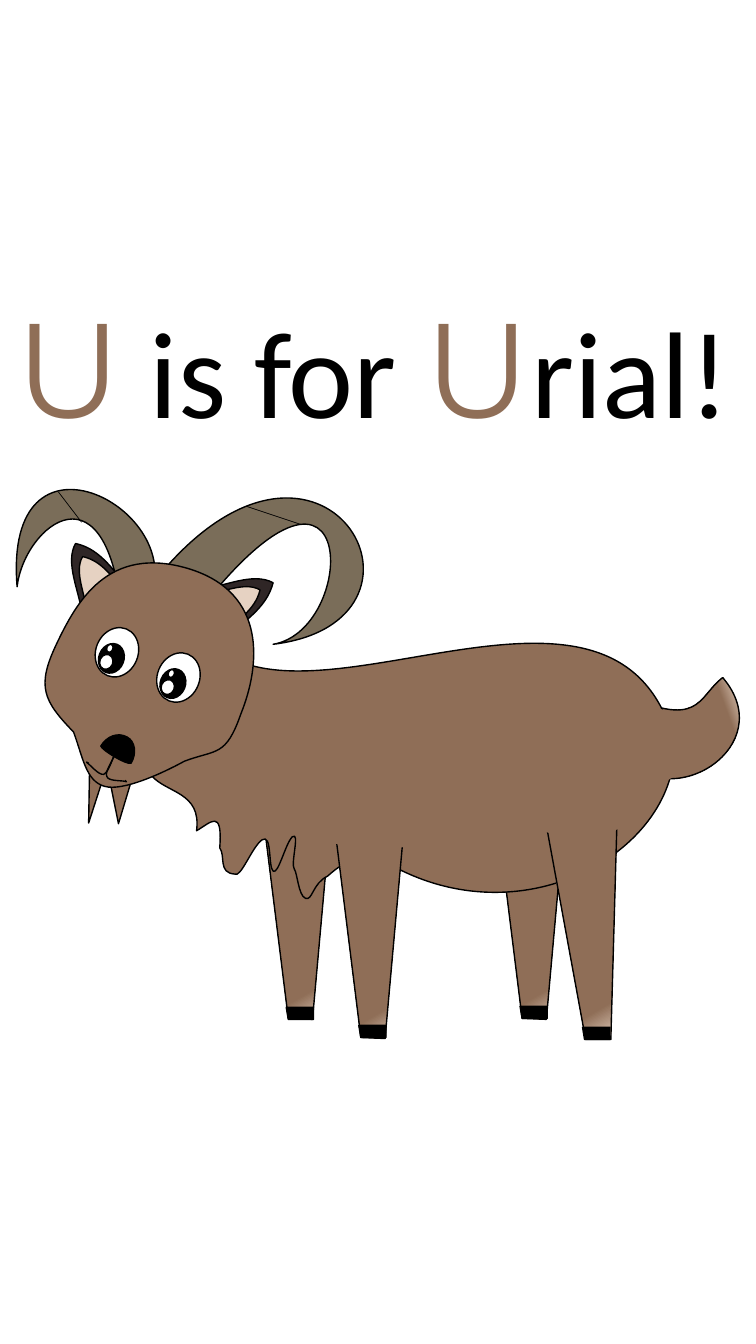
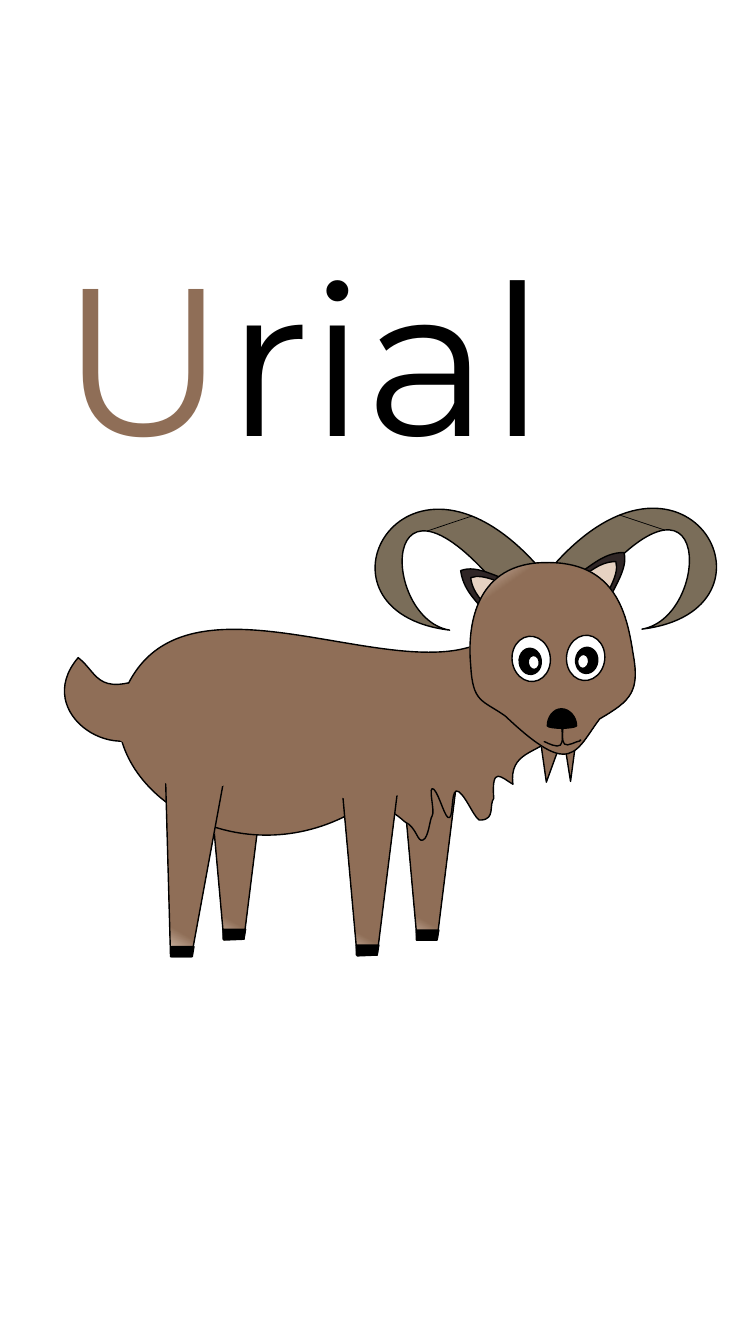
from dataclasses import dataclass

from lxml.etree import SubElement
from pptx import Presentation
from pptx.dml.color import RGBColor
from pptx.enum.shapes import MSO_CONNECTOR as CONN, MSO_SHAPE as SHAPE
from pptx.enum.text import MSO_AUTO_SIZE as AUTO, PP_ALIGN as ALIGN
from pptx.oxml.ns import qn
from pptx.util import Inches, Pt

FUR, PALE, HORN_TAN, EAR_DARK = "8F6E57", "E6D2C2", "7A6D59", "2F2626"
BLACK, WHITE = "000000", "FFFFFF"
CURVE_STEPS = 20


@dataclass
class Frame:
    """Maps drawing units to slide inches, with an optional left-right mirror."""
    left: float = 0
    top: float = 0
    scale: float = 1
    mirror: bool = False

    def point(self, x, y):
        dx = self.scale * x
        return self.left + (-dx if self.mirror else dx), self.top + self.scale * y

    def box(self, x, y, w, h):
        left, top = self.point(x + w if self.mirror else x, y)
        return left, top, w * self.scale, h * self.scale


@dataclass
class Head:
    horns: list      # (outline, seam, frame)
    ears: list       # (outer outline, inner outline)
    beard: list      # (box, rotation)
    skull: list
    skull_fill: object
    nose: list
    mouth: list
    eyes: list       # (left, top, rotation, mirrored)
    eye_parts: list  # (dx, dy, width, height, colour)


# Outlines: a start point, then line ends (x, y) or curves (x1, y1, x2, y2, x, y).
LEFT_HORN = [(0.17, 5.82), (0.03, 4.11, 1.82, 5.02, 1.5, 5.9), (1.5, 6.23), (1.22, 6.23),
             (1.1, 4.51, 0.24, 5.21, 0.17, 5.82)]
LEFT_SEAM = [(0.58, 4.88), (0.81, 5.18)]
HORN = [(2.71, 6.39), (4.52, 6.17, 3.28, 3.83, 1.68, 5.59), (1.58, 5.85), (1.8, 6.29),
        (3.57, 3.85, 3.59, 6.24, 2.71, 6.39)]
SEAM = [(2.44, 5.02), (2.98, 5.2)]

LEG = [(0, 0.02), (0.69, 0), (0.5, 2.12), (0.26, 2.11)]
NEAR_HIND_LEG = [(5.43, 8.24), (6.12, 8.17), (6.06, 10.31), (5.81, 10.31)]
HOOF = [(0, 0), (0.27, 0), (0.27, 0.12), (0.02, 0.12)]
HOOF_SPOTS = [(5.78, 10.19), (5.16, 9.98), (3.56, 10.17), (2.84, 9.99)]
JOINTS = [(3.22, 8.1, 1, 0.33), (5.23, 7.96, 1, 0.33), (6.2, 7.03, 0.63, 0.73)]
TAIL = [(6.13, 6.86), (6.96, 7.25, 6.91, 6.92, 7.17, 6.72), (7.75, 7.4, 6.65, 8.09, 6.19, 7.5)]
TRUNK = [(1.52, 6.48), (1.91, 6.12), (2.65, 7.68, 6.09, 5.1, 6.69, 7.36),
         (6.74, 8.42, 5.21, 9.33, 3.86, 8.57), (3.4, 8.63, 3.5, 8.47, 3.25, 8.69),
         (3.1, 8.76, 3.1, 8.94, 3.03, 8.91), (2.96, 8.88, 2.95, 8.66, 2.92, 8.62),
         (2.88, 8.57, 2.98, 8.24, 2.9, 8.3), (2.83, 8.37, 2.76, 8.68, 2.71, 8.64),
         (2.66, 8.6, 2.7, 8.26, 2.6, 8.33), (2.5, 8.4, 2.39, 8.71, 2.33, 8.67),
         (2.16, 8.66, 2.24, 8.49, 2.18, 8.41), (2.21, 8.01, 2.09, 8.16, 1.95, 8.24),
         (2, 7.85, 1.65, 7.87, 1.5, 7.69)]

PAGE = Frame()
SMALLER = 1.76 / 2.13
FACING_RIGHT = Frame(6.7, 0.97, SMALLER, True)

TILTED_HEAD = Head(
    horns=[(LEFT_HORN, LEFT_SEAM, PAGE), (HORN, SEAM, PAGE)],
    ears=[([(0.82, 6.11), (0.79, 5.87, 0.64, 5.58, 0.75, 5.39), (1.02, 5.45, 1.13, 5.69, 1.31, 5.85)],
           [(0.87, 6.1), (0.85, 5.9, 0.73, 5.67, 0.82, 5.52), (1.04, 5.57, 1.12, 5.76, 1.27, 5.88)]),
          ([(1.98, 5.85), (2.22, 5.82, 2.51, 5.67, 2.71, 5.78), (2.64, 6.05, 2.4, 6.16, 2.25, 6.34)],
           [(2, 5.9), (2.19, 5.89, 2.42, 5.76, 2.58, 5.85), (2.53, 6.06, 2.34, 6.15, 2.22, 6.3)])],
    beard=[((0.94, 7.13, 0.52, 1.04), 182.7), ((0.81, 7.13, 0.31, 1.04), 189.5)],
    skull=[(0.56, 6.39), (0.76, 5.97, 1.07, 5.4, 1.87, 5.64), (2.66, 5.88, 2.58, 6.61, 2.39, 7.08),
           (2.24, 7.51, 2.15, 7.43, 1.83, 7.55), (1.61, 7.67, 1.22, 7.85, 1.04, 7.8),
           (0.85, 7.75, 0.82, 7.5, 0.73, 7.26), (0.43, 6.95, 0.36, 6.81, 0.56, 6.39)],
    skull_fill=FUR,
    nose=[(1, 7.4), (1.06, 7.3, 1.17, 7.26, 1.26, 7.31), (1.34, 7.35, 1.36, 7.47, 1.3, 7.57),
          (1.26, 7.59, 1.01, 7.44, 1, 7.4)],
    mouth=[[(1.15, 7.47), (1.1, 7.57, 1.04, 7.66, 1.06, 7.7), (1.07, 7.75, 1.21, 7.74, 1.24, 7.75),
            (1.27, 7.76, 1.25, 7.75, 1.24, 7.74)],
           [(1.14, 7.46), (1.11, 7.56, 1.07, 7.66, 1.03, 7.68), (0.98, 7.69, 0.9, 7.59, 0.87, 7.57),
            (0.85, 7.55, 0.86, 7.56, 0.88, 7.57)]],
    eyes=[(1.56, 6.47, 21.9, False), (0.95, 6.22, 21.9, False)],
    eye_parts=[(0, 0, 0.42, 0.5, WHITE), (0.03, 0.16, 0.25, 0.3, BLACK),
               (0.04, 0.27, 0.13, 0.15, WHITE), (0.11, 0.17, 0.06, 0.08, WHITE)])

FRONT_HEAD = Head(
    horns=[(HORN, SEAM, FACING_RIGHT), (HORN, SEAM, Frame(4.13, 0.96, SMALLER))],
    ears=[([(6, 6.05), (6.06, 5.86, 6.24, 5.65, 6.19, 5.48), (5.96, 5.48, 5.83, 5.66, 5.65, 5.74)],
           [(5.96, 6.03), (6.01, 5.88, 6.15, 5.71, 6.11, 5.57), (5.93, 5.57, 5.82, 5.71, 5.68, 5.78)]),
          ([(5.16, 5.79), (4.96, 5.75, 4.74, 5.59, 4.57, 5.66), (4.6, 5.89, 4.78, 6, 4.89, 6.17)],
           [(5.14, 5.83), (4.98, 5.8, 4.8, 5.68, 4.67, 5.73), (4.69, 5.91, 4.84, 6, 4.92, 6.14)])],
    beard=[((5.25, 6.9, 0.43, 0.86), 186), ((5.53, 6.89, 0.25, 0.86), 179.3)],
    skull=[(6.28, 6.48), (6.22, 6.09, 6.11, 5.57, 5.42, 5.58), (4.73, 5.58, 4.63, 6.18, 4.67, 6.6),
           (4.69, 6.97, 4.78, 6.94, 5.01, 7.1), (5.16, 7.24, 5.42, 7.48, 5.58, 7.48),
           (5.74, 7.49, 5.82, 7.3, 5.95, 7.13), (6.26, 6.95, 6.35, 6.86, 6.28, 6.48)],
    skull_fill=305,
    nose=[(5.72, 7.2), (5.72, 7.11, 5.65, 7.03, 5.57, 7.03), (5.49, 7.03, 5.43, 7.11, 5.43, 7.2),
          (5.45, 7.23, 5.69, 7.23, 5.72, 7.2)],
    mouth=[[(5.57, 7.19), (5.58, 7.27, 5.59, 7.36, 5.56, 7.39), (5.53, 7.42, 5.43, 7.37, 5.41, 7.36),
            (5.39, 7.35, 5.4, 7.36, 5.41, 7.36)],
           [(5.59, 7.18), (5.58, 7.26, 5.57, 7.35, 5.6, 7.38), (5.63, 7.41, 5.72, 7.35, 5.75, 7.35),
            (5.77, 7.34, 5.76, 7.34, 5.75, 7.34)]],
    eyes=[(5.62, 6.3, 6.4, False), (5.08, 6.31, -6.4, True)],
    eye_parts=[(0, 0, 0.38, 0.45, WHITE), (0.09, 0.12, 0.22, 0.26, BLACK),
               (0.11, 0.19, 0.11, 0.14, WHITE)])


def rgb(color):
    return RGBColor.from_string(color)


def paint(sp, fill, outline=True):
    """Fill with a hex colour, nothing (None), or pale-to-fur shading at an angle."""
    sp.shadow.inherit = False
    if fill is None:
        sp.fill.background()
    elif isinstance(fill, str):
        sp.fill.solid()
        sp.fill.fore_color.rgb = rgb(fill)
    else:
        sp.fill.gradient()
        sp.fill.gradient_angle = fill
        for stop, color, position in zip(sp.fill.gradient_stops, (PALE, FUR), (0, 0.16)):
            stop.color.rgb = rgb(color)
            stop.position = position
    if outline:
        sp.line.color.rgb = rgb(BLACK)
        sp.line.width = Pt(1)
    else:
        sp.line.fill.background()


def extent(outline):
    """Return the corners of the box that the lines and curves fill."""
    points = [outline[0]]
    for seg in outline[1:]:
        x0, y0 = points[-1]
        for i in range(1, CURVE_STEPS + 1) if len(seg) == 6 else ():
            t = i / CURVE_STEPS
            weights = ((1 - t) ** 3, 3 * t * (1 - t) ** 2, 3 * t * t * (1 - t), t ** 3)
            points.append(tuple(sum(w * v for w, v in zip(weights, values))
                                for values in ((x0, *seg[::2]), (y0, *seg[1::2]))))
        points.append(seg[-2:])
    xs, ys = zip(*points)
    return (min(xs), min(ys)), (max(xs), max(ys))


def shift(outline, dx, dy):
    return [(x + dx, y + dy) for x, y in outline]


def draw(s, frame, outline, fill, closed=True):
    start, end = [tuple(map(Inches, frame.point(*corner))) for corner in extent(outline)]
    builder = s.shapes.build_freeform(*start)
    builder.add_line_segments([end], close=closed)
    sp = builder.convert_to_shape()
    contour = sp._element.spPr.find(".//" + qn("a:path"))
    for step in list(contour):
        contour.remove(step)
    for i, seg in enumerate(outline):
        tag = "a:cubicBezTo" if len(seg) == 6 else "a:lnTo" if i else "a:moveTo"
        step = SubElement(contour, qn(tag))
        for pt in zip(seg[::2], seg[1::2]):
            x, y = map(Inches, frame.point(*pt))
            SubElement(step, qn("a:pt"), x=str(x - sp.left), y=str(y - sp.top))
    if closed:
        SubElement(contour, qn("a:close"))
    paint(sp, fill)


def preset(s, kind, box, fill, rotation=0, outline=True):
    sp = s.shapes.add_shape(kind, *map(Inches, box))
    sp.rotation = rotation
    paint(sp, fill, outline)


def horn(s, frame, outline, seam):
    draw(s, frame, outline, HORN_TAN)
    ends = [Inches(v) for pt in seam for v in frame.point(*pt)]
    line = s.shapes.add_connector(CONN.STRAIGHT, *ends)
    line.line.color.rgb = rgb(BLACK)
    line.line.width = Pt(0.5)
    SubElement(line._element.spPr, qn("a:effectLst"))


def head_back(s, head):
    """Draw the parts of the head that lie behind the trunk."""
    for outline, seam, frame in head.horns:
        horn(s, frame, outline, seam)
    for outer, inner in head.ears:
        draw(s, PAGE, outer, EAR_DARK)
        draw(s, PAGE, inner, PALE)
    for box, rotation in head.beard:
        preset(s, SHAPE.ISOSCELES_TRIANGLE, box, FUR, rotation)


def body(s, frame, tail_fill):
    leg_light = 60 if frame.mirror else 120
    for x in (2.6, 4.92):
        draw(s, frame, shift(LEG, x, 7.99), leg_light)
    draw(s, frame, TAIL, tail_fill)
    draw(s, frame, TRUNK, FUR)
    for leg in (shift(LEG, 3.32, 8.18), NEAR_HIND_LEG):
        draw(s, frame, leg, leg_light)
    for spot in HOOF_SPOTS:
        draw(s, frame, shift(HOOF, *spot), BLACK)
    for joint in JOINTS:
        preset(s, SHAPE.OVAL, frame.box(*joint), FUR, outline=False)


def face(s, head):
    draw(s, PAGE, head.skull, head.skull_fill)
    draw(s, PAGE, head.nose, BLACK)
    for lip in head.mouth:
        draw(s, PAGE, lip, None, closed=False)
    eye_width = head.eye_parts[0][2]
    for x, y, rotation, mirrored in head.eyes:
        for dx, dy, w, h, color in head.eye_parts:
            left = x + (eye_width - dx - w if mirrored else dx)
            preset(s, SHAPE.OVAL, (left, y + dy, w, h), color, rotation)


def title(s, box, runs, align):
    tf = s.shapes.add_textbox(*map(Inches, box)).text_frame
    tf.word_wrap = True
    tf.auto_size = AUTO.SHAPE_TO_FIT_TEXT
    p = tf.paragraphs[0]
    p.alignment = align
    for text, size, font, color in runs:
        r = p.add_run()
        r.text = text
        r.font.size, r.font.name = Pt(size), font
        r.font.color.rgb = rgb(color)
        if color == FUR:
            props = r._r.get_or_add_rPr()
            ln = SubElement(props, qn("a:ln"), w=str(Pt(0.75)))
            SubElement(SubElement(ln, qn("a:solidFill")), qn("a:srgbClr"), val=BLACK)
            props.insert(0, ln)


def urial_slide(prs, box, runs, align, head, frame, tail_fill):
    s = prs.slides.add_slide(prs.slide_layouts[6])
    title(s, box, runs, align)
    head_back(s, head)
    body(s, frame, tail_fill)
    face(s, head)


def main():
    prs = Presentation()
    prs.slide_width, prs.slide_height = Inches(7.5), Inches(13.33)
    initial = ("U", 96, "Montserrat", FUR)
    urial_slide(prs, (-0.83, 2.77, 9.33, 1.72),
                [initial, (" is for ", 88, "Calibri", BLACK), initial, ("rial! ", 88, "Calibri", BLACK)],
                ALIGN.CENTER, TILTED_HEAD, PAGE, 200)
    urial_slide(prs, (0.5, 2.2, 6.11, 2.63),
                [("U", 150, "Montserrat", FUR), ("rial", 150, "Montserrat", BLACK)],
                ALIGN.LEFT, FRONT_HEAD, FACING_RIGHT, FUR)
    prs.save("out.pptx")


if __name__ == "__main__":
    main()
